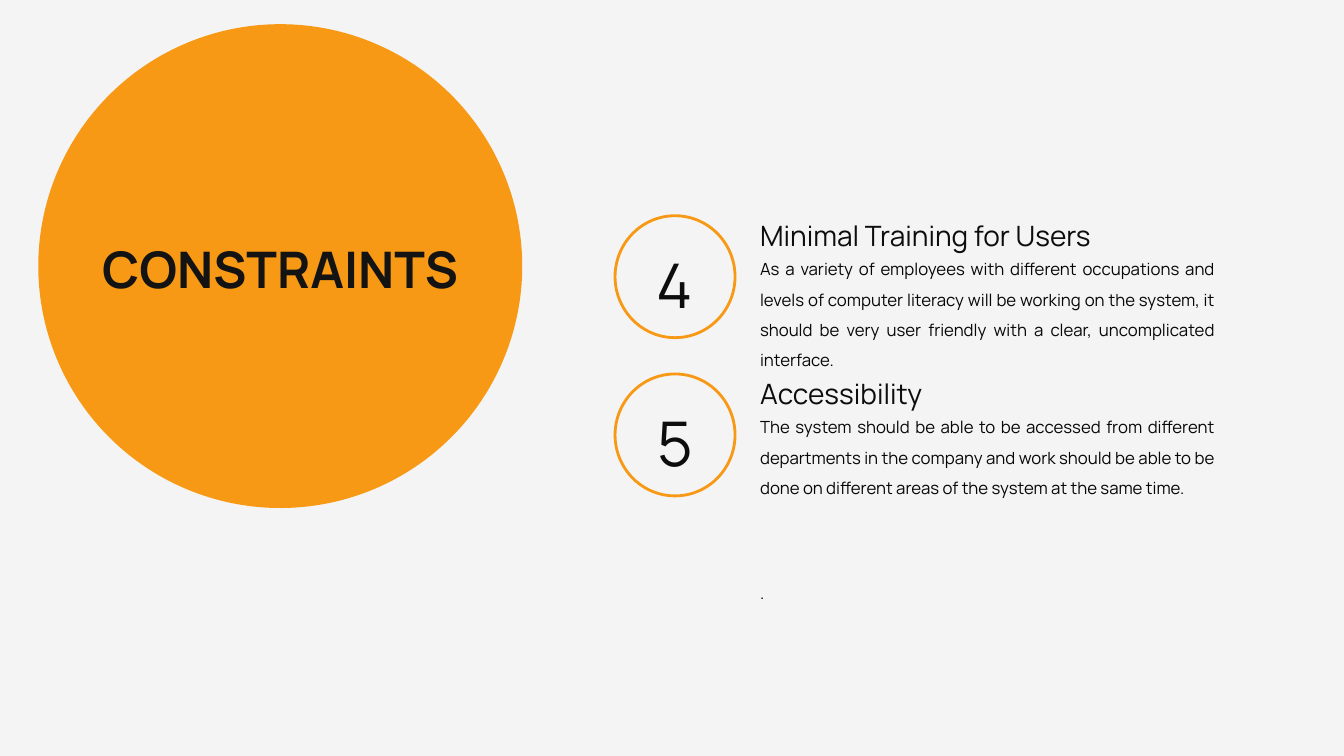
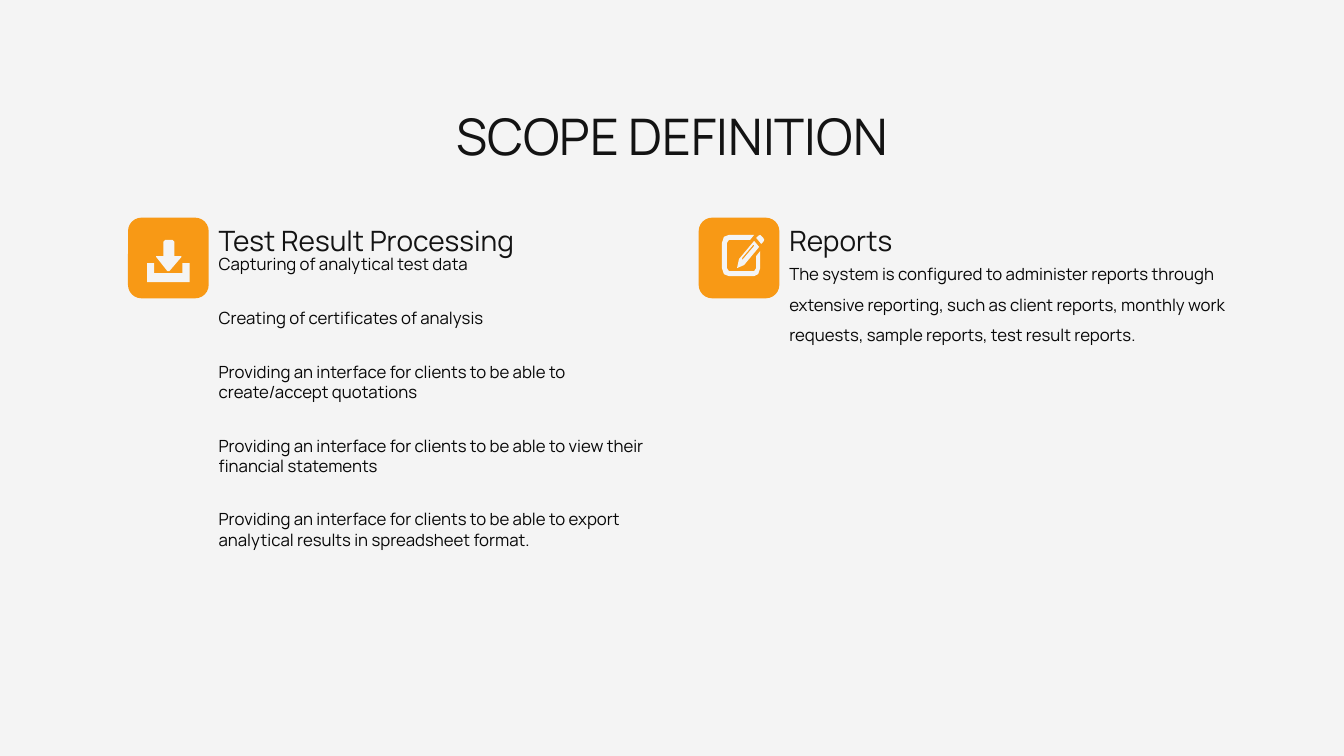
import pptx
import pptx.dml.color
import pptx.enum.shapes
import pptx.enum.text
import pptx.util

Inches = pptx.util.Inches
Pt = pptx.util.Pt
SHAPES = pptx.enum.shapes.MSO_SHAPE
ALIGN = pptx.enum.text.PP_ALIGN

FONT = "Manrope"
ORANGE = "F89915"
PAPER = "F4F4F4"
TITLE_INK = "131313"
HEADING_INK = "0D0D0D"
BODY_INK = "070707"
TEXT_WIDTH = 4.71

# Icon outlines, in inches from the icon's top left corner
DOWNLOAD_ICON = [
    [(0, 0.23), (0.07, 0.23), (0.07, 0.33), (0.35, 0.33), (0.35, 0.23),
     (0.42, 0.23), (0.42, 0.42), (0, 0.42)],
    [(0.16, 0.02), (0.18, 0), (0.25, 0), (0.27, 0.02), (0.27, 0.16), (0.34, 0.16),
     (0.34, 0.17), (0.22, 0.31), (0.2, 0.31), (0.09, 0.17), (0.09, 0.16), (0.16, 0.16)],
]
EDIT_ICON = [
    # Open frame
    [(0.34, 0.21), (0.38, 0.16), (0.38, 0.33), (0.36, 0.39), (0.32, 0.41), (0.07, 0.41),
     (0.02, 0.39), (0, 0.33), (0, 0.08), (0.02, 0.02), (0.07, 0), (0.32, 0), (0.28, 0.05),
     (0.07, 0.05), (0.05, 0.08), (0.05, 0.33), (0.07, 0.36), (0.32, 0.36), (0.34, 0.33)],
    # Pencil, its slit and its end
    [(0.37, 0.12), (0.22, 0.3), (0.15, 0.33), (0.17, 0.24), (0.32, 0.06)],
    [(0.32, 0.11), (0.32, 0.1), (0.31, 0.1), (0.2, 0.23), (0.2, 0.25), (0.21, 0.24)],
    [(0.41, 0.03), (0.42, 0.05), (0.41, 0.07), (0.39, 0.09), (0.34, 0.03),
     (0.36, 0.01), (0.38, 0), (0.39, 0.01)],
]


def color(value):
    return pptx.dml.color.RGBColor.from_string(value)


def add_slide(presentation):
    slide = presentation.slides.add_slide(presentation.slide_layouts[6])
    slide.background.fill.solid()
    slide.background.fill.fore_color.rgb = color(PAPER)
    return slide


def style_shape(shape, fill=None, line=None):
    shape.shadow.inherit = False
    if fill:
        shape.fill.solid()
        shape.fill.fore_color.rgb = color(fill)
    else:
        shape.fill.background()
    if line:
        shape.line.color.rgb = color(line)
        shape.line.width = Pt(2)
    else:
        shape.line.fill.background()


def add_shape(slide, kind, left, top, width, height, fill=None, line=None):
    shape = slide.shapes.add_shape(
        kind, Inches(left), Inches(top), Inches(width), Inches(height))
    style_shape(shape, fill, line)


def add_text(slide, left, top, width, height, texts, size, ink,
             align=ALIGN.JUSTIFY, line_spacing=1.5, gap=0, bold=False):
    box = slide.shapes.add_textbox(
        Inches(left), Inches(top), Inches(width), Inches(height))
    frame = box.text_frame
    frame.word_wrap = True
    frame.auto_size = pptx.enum.text.MSO_AUTO_SIZE.SHAPE_TO_FIT_TEXT
    for index, text in enumerate(texts):
        paragraph = frame.add_paragraph() if index else frame.paragraphs[0]
        paragraph.text = text
        paragraph.alignment = align
        paragraph.line_spacing = line_spacing
        paragraph.space_before = paragraph.space_after = Pt(gap)
        paragraph.font.name = FONT
        paragraph.font.size = Pt(size)
        paragraph.font.bold = bold
        paragraph.font.color.rgb = color(ink)


def add_title(slide, left, top, width, text, bold=False):
    add_text(slide, left, top, width, 0.9, [text], 36, TITLE_INK, ALIGN.CENTER, bold=bold)


def add_heading(slide, left, top, text, ink):
    add_text(slide, left, top, TEXT_WIDTH, 0.55, [text], 20, ink)


def add_icon(slide, left, top, outlines):
    builder = None
    for outline in outlines:
        points = [(Inches(x), Inches(y)) for x, y in outline]
        if builder is None:
            builder = slide.shapes.build_freeform(*points[0], scale=1.0)
        else:
            builder.move_to(*points[0])
        builder.add_line_segments(points[1:], close=True)
    style_shape(builder.convert_to_shape(Inches(left), Inches(top)), PAPER)


def add_constraint(slide, left, top, number, heading, body, body_height):
    """Numbered ring with its heading and text to the right."""
    text_left = left + 1.34
    add_shape(slide, SHAPES.OVAL, left, top, 1.19, 1.21, line=ORANGE)
    add_text(slide, left, top - 0.11, 1.19, 1.08, [number], 44, HEADING_INK, ALIGN.CENTER)
    add_text(slide, text_left, top + 0.28, TEXT_WIDTH, body_height, [body], 12, BODY_INK)
    add_heading(slide, text_left, top - 0.19, heading, HEADING_INK)


def add_scope(slide, left, top, icon, icon_offset, heading, items, body_height, **spacing):
    """Icon tile with its heading and text to the right."""
    tile = 0.8
    add_shape(slide, SHAPES.ROUNDED_RECTANGLE, left, top, tile, tile, ORANGE)
    add_icon(slide, left + icon_offset[0], top + icon_offset[1], icon)
    add_text(slide, left + tile, top + 0.31, TEXT_WIDTH, body_height, items, 12, BODY_INK,
             ALIGN.LEFT, **spacing)
    add_heading(slide, left + tile, top - 0.16, heading, TITLE_INK)


def build_constraints(presentation):
    slide = add_slide(presentation)
    # Numbered constraints
    left, top, pitch = 6.1, 2.14, 1.57
    constraints = [
        ("4", "Minimal Training for Users",
         "As a variety of employees with different occupations and levels of computer "
         "literacy will be working on the system, it should be very user friendly with a "
         "clear, uncomplicated interface.", 1.28),
        ("5", "Accessibility",
         "The system should be able to be accessed from different departments in the "
         "company and work should be able to be done on different areas of the system at "
         "the same time.", 0.97),
    ]
    for row, constraint in enumerate(constraints):
        add_constraint(slide, left, top + row * pitch, *constraint)
    add_text(slide, 7.44, 5.63, TEXT_WIDTH, 0.37, ["."], 12, HEADING_INK)
    # Title disc
    disc_left, disc_size = 0.38, 4.8
    add_shape(slide, SHAPES.OVAL, disc_left, 0.24, disc_size, disc_size, ORANGE)
    add_title(slide, disc_left, 2.01, disc_size, "CONSTRAINTS", bold=True)


def build_scope(presentation):
    slide = add_slide(presentation)
    add_title(slide, 0.62, 0.69, 12.09, "SCOPE DEFINITION")
    top = 2.16
    # Left column: list of tasks
    add_scope(slide, 1.27, top, DOWNLOAD_ICON, (0.19, 0.22), "Test Result Processing", [
        "Capturing of analytical test data",
        "Creating of certificates of analysis",
        "Providing an interface for clients to be able to create/accept quotations",
        "Providing an interface for clients to be able to view their financial statements",
        "Providing an interface for clients to be able to export analytical results in "
        "spreadsheet format.",
    ], 3.57, line_spacing=1.0, gap=12)
    # Right column: one paragraph
    add_scope(slide, 6.93, top, EDIT_ICON, (0.23, 0.17), "Reports", [
        "The system is configured to administer reports through extensive reporting, such "
        "as client reports, monthly work requests, sample reports, test result reports.",
    ], 0.97)


def main():
    presentation = pptx.Presentation()
    presentation.slide_width = Inches(13.33)
    presentation.slide_height = Inches(7.5)
    build_constraints(presentation)
    build_scope(presentation)
    presentation.save("out.pptx")


if __name__ == "__main__":
    main()
